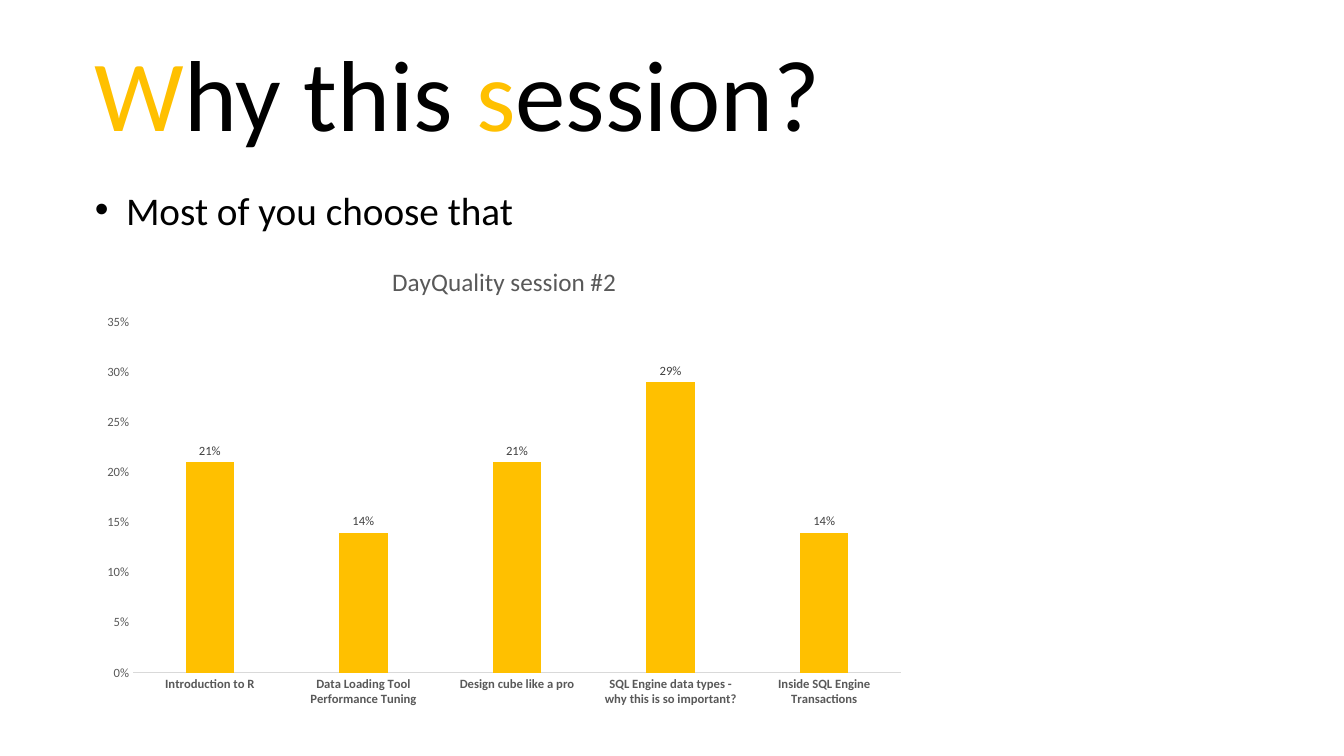
from dataclasses import dataclass

from lxml.etree import SubElement
from pptx import Presentation
from pptx.chart.data import CategoryChartData
from pptx.dml.color import RGBColor
from pptx.enum.chart import XL_CHART_TYPE, XL_LABEL_POSITION, XL_TICK_MARK
from pptx.enum.text import MSO_ANCHOR, MSO_AUTO_SIZE, PP_ALIGN
from pptx.oxml.ns import qn
from pptx.util import Inches, Pt


@dataclass(frozen=True)
class Theme:
    """Colours, font and type sizes of the slide."""
    font: str = "Calibri"
    accent: RGBColor = RGBColor(0xFF, 0xC0, 0x00)
    ink: RGBColor = RGBColor(0x00, 0x00, 0x00)
    label: RGBColor = RGBColor(0x40, 0x40, 0x40)
    muted: RGBColor = RGBColor(0x59, 0x59, 0x59)
    rule: RGBColor = RGBColor(0xD9, 0xD9, 0xD9)
    title_size: Pt = Pt(72)
    bullet_size: Pt = Pt(28)
    chart_title_size: Pt = Pt(18)
    chart_size: Pt = Pt(10)
    axis_size: Pt = Pt(9)


THEME = Theme()
TITLE_RUNS = [
    ("W", THEME.accent),
    ("hy this ", THEME.ink),
    ("s", THEME.accent),
    ("ession?", THEME.ink),
]
VOTE_SHARES = {
    "Introduction to R": 0.21,
    "Data Loading Tool Performance Tuning": 0.14,
    "Design cube like a pro": 0.21,
    "SQL Engine data types - why this is so important?": 0.29,
    "Inside SQL Engine Transactions": 0.14,
}


def style_font(font, size, color, bold=False):
    """Apply the theme typeface with a size, colour and weight."""
    font.name = THEME.font
    font.size = size
    font.bold = bold
    font.color.rgb = color


def place(placeholder, left, top, width, height):
    """Move a placeholder to a position given in inches."""
    placeholder.left, placeholder.top = Inches(left), Inches(top)
    placeholder.width, placeholder.height = Inches(width), Inches(height)


def fill_placeholder(placeholder, runs, size, anchor):
    """Write coloured runs into the first paragraph and return it."""
    frame = placeholder.text_frame
    frame.word_wrap = True
    frame.auto_size = MSO_AUTO_SIZE.NONE
    frame.vertical_anchor = anchor
    paragraph = frame.paragraphs[0]
    paragraph.alignment = PP_ALIGN.LEFT
    paragraph.space_before = Pt(0)
    for text, color in runs:
        run = paragraph.add_run()
        run.text = text
        style_font(run.font, size, color)
    return paragraph


def add_bullet(paragraph, indent):
    """Give a paragraph a round bullet with a hanging indent."""
    properties = paragraph._p.get_or_add_pPr()
    properties.set("marL", str(indent))
    properties.set("indent", str(-indent))
    SubElement(properties, qn("a:buFont"), typeface="Arial")
    SubElement(properties, qn("a:buChar"), char="•")


def style_axis(axis, bold=False):
    """Set the axis labels and remove gridlines and tick marks."""
    axis.has_major_gridlines = False
    axis.major_tick_mark = XL_TICK_MARK.NONE
    axis.minor_tick_mark = XL_TICK_MARK.NONE
    style_font(axis.tick_labels.font, THEME.axis_size, THEME.muted, bold)


def add_vote_chart(slide):
    """Add the column chart of votes per session."""
    votes = CategoryChartData(number_format="0%")
    votes.categories = list(VOTE_SHARES)
    votes.add_series("Series 1", list(VOTE_SHARES.values()))
    chart = slide.shapes.add_chart(
        XL_CHART_TYPE.COLUMN_CLUSTERED,
        Inches(0.9), Inches(2.43), Inches(8.2), Inches(4.67), votes,
    ).chart
    style_font(chart.font, THEME.chart_size, THEME.ink)
    chart.has_legend = False
    chart.has_title = True
    heading = chart.chart_title.text_frame.paragraphs[0].add_run()
    heading.text = "DayQuality session #2"
    style_font(heading.font, THEME.chart_title_size, THEME.muted)
    chart.chart_title.include_in_layout = False

    sessions, shares = chart.category_axis, chart.value_axis
    style_axis(sessions, bold=True)
    sessions.format.line.color.rgb = THEME.rule
    sessions.format.line.width = Pt(0.75)
    style_axis(shares)
    shares.format.line.fill.background()
    shares.minimum_scale, shares.maximum_scale = 0, 0.35
    shares.major_unit = 0.05
    shares.tick_labels.number_format = "0%"
    shares.tick_labels.number_format_is_linked = False

    columns = chart.plots[0]
    columns.vary_by_categories = False
    columns.gap_width, columns.overlap = 219, -27
    fill = columns.series[0].format.fill
    fill.solid()
    fill.fore_color.rgb = THEME.accent
    columns.has_data_labels = True
    labels = columns.data_labels
    labels.show_value = True
    labels.number_format = "0%"
    labels.number_format_is_linked = False
    labels.position = XL_LABEL_POSITION.OUTSIDE_END
    style_font(labels.font, THEME.axis_size, THEME.label)


def main():
    """Build the slide and save it."""
    deck = Presentation()
    deck.slide_width, deck.slide_height = Inches(13.33), Inches(7.5)
    slide = deck.slides.add_slide(deck.slide_layouts[1])
    title, reason = slide.shapes.title, slide.placeholders[1]
    place(title, 0.84, 0.25, 8.14, 1.31)
    fill_placeholder(title, TITLE_RUNS, THEME.title_size, MSO_ANCHOR.TOP)
    place(reason, 0.84, 1.56, 4.5, 0.73)
    bullet = fill_placeholder(
        reason, [("Most of you choose that", THEME.ink)],
        THEME.bullet_size, MSO_ANCHOR.TOP,
    )
    bullet.line_spacing = 1.5
    add_bullet(bullet, Inches(0.31))
    add_vote_chart(slide)
    deck.save("out.pptx")


if __name__ == "__main__":
    main()
